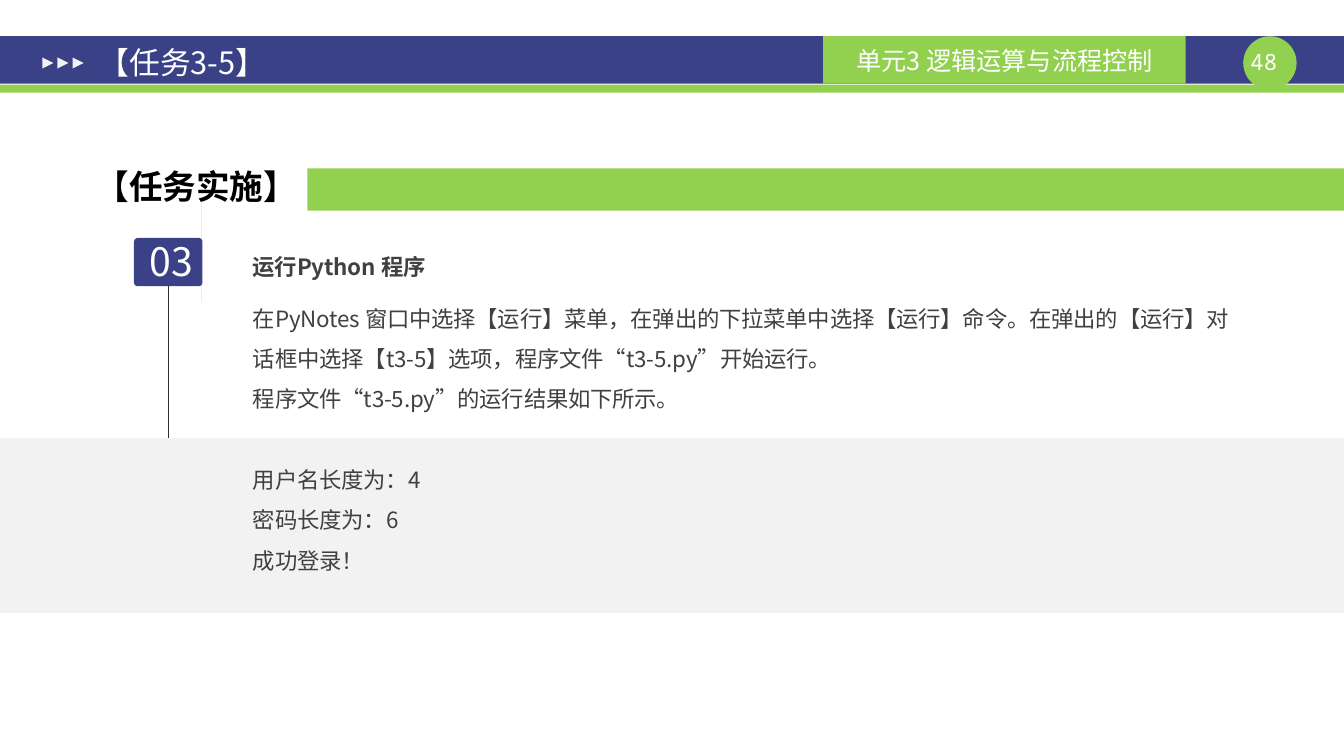
from lxml import etree
from pptx import Presentation
from pptx.dml.color import RGBColor
from pptx.enum.shapes import MSO_CONNECTOR, MSO_SHAPE as SHAPE
from pptx.enum.text import MSO_ANCHOR as ANCHOR, MSO_AUTO_SIZE, PP_ALIGN as ALIGN
from pptx.oxml.ns import qn
from pptx.util import Inches, Pt

NAVY = RGBColor(0x3A, 0x41, 0x87)
GREEN = RGBColor(0x92, 0xD0, 0x50)
PALE = RGBColor(0xF2, 0xF2, 0xF2)
GRAY = RGBColor(0x6F, 0x73, 0x76)
LINE = RGBColor(0x2E, 0x2C, 0x2C)
INK = RGBColor(0x40, 0x40, 0x40)
BLACK = RGBColor(0, 0, 0)
WHITE = RGBColor(0xFF, 0xFF, 0xFF)
SANS, MONO = "Noto Sans CJK SC", "Noto Sans Mono"

WIDTH, HEIGHT = 13.34, 7.5
TITLE = "【任务3-5】"
UNIT = "单元3 逻辑运算与流程控制"
PAGE = "48"
SECTION = "【任务实施】"
STEP = "03"
STEP_HEADING = "运行Python 程序"
INSTRUCTIONS = [
    "在PyNotes 窗口中选择【运行】菜单，在弹出的下拉菜单中选择【运行】命令。"
    "在弹出的【运行】对话框中选择【t3-5】选项，程序文件“t3-5.py”开始运行。",
    "程序文件“t3-5.py”的运行结果如下所示。",
]
OUTPUT = ["用户名长度为：4", "密码长度为：6", "成功登录！"]
OUTPUT_GAP = 29

BAR_TOP, BAR_HEIGHT = 0.36, 0.47
SHAPES = [
    (SHAPE.RECTANGLE, (0, BAR_TOP, WIDTH, BAR_HEIGHT), NAVY),
    (SHAPE.RECTANGLE, (0, 0.84, WIDTH, 0.08), GREEN),
    (SHAPE.OVAL, (12.34, BAR_TOP, 0.53, 0.53), GREEN),
    (SHAPE.RECTANGLE, (8.17, BAR_TOP, 3.6, BAR_HEIGHT), GREEN),
    (SHAPE.RECTANGLE, (0, 4.35, WIDTH, 1.73), PALE),
    (SHAPE.RECTANGLE, (3.05, 1.67, 10.29, 0.42), GREEN),
]
STEP_BADGE = (1.33, 2.36, 0.68, 0.48)
ARROW_POINTS = [
    (2.04, 2.48), (2.05, 2.46), (2.07, 2.46), (2.13, 2.51), (2.2, 2.55), (2.22, 2.57),
    (2.2, 2.59), (2.13, 2.63), (2.07, 2.67), (2.05, 2.68), (2.04, 2.65),
]

BODY = {"size": Pt(16), "color": INK, "spacing": -10, "line_spacing": 1.5}


def paint(shape, color):
    shape.shadow.inherit = False
    shape.fill.solid()
    shape.fill.fore_color.rgb = color
    shape.line.fill.background()


def add_block(slide, kind, box, color):
    shape = slide.shapes.add_shape(kind, *map(Inches, box))
    paint(shape, color)
    return shape


def write(shape, lines, size, color, font=SANS, bold=False, align=ALIGN.LEFT,
          anchor=ANCHOR.TOP, margins=(0.1, 0.05), line_spacing=1.0, spacing=0):
    """Fill the shape with one formatted paragraph per line."""
    frame = shape.text_frame
    across, down = map(Inches, margins)
    frame_format = {
        "word_wrap": True, "auto_size": MSO_AUTO_SIZE.NONE, "vertical_anchor": anchor,
        "margin_left": across, "margin_right": across,
        "margin_top": down, "margin_bottom": down,
    }
    for name, value in frame_format.items():
        setattr(frame, name, value)
    for index, line in enumerate(lines):
        paragraph = frame.add_paragraph() if index else frame.paragraphs[0]
        properties = paragraph._p.get_or_add_pPr()
        properties.set("marL", "0")
        properties.set("indent", "0")
        etree.SubElement(properties, qn("a:buNone"))
        paragraph_format = {"alignment": align, "line_spacing": line_spacing,
                            "space_before": Pt(0), "space_after": Pt(0)}
        for name, value in paragraph_format.items():
            setattr(paragraph, name, value)
        run = paragraph.add_run()
        run.text = line
        run.font.color.rgb = color
        for name, value in {"name": font, "size": size, "bold": bold}.items():
            setattr(run.font, name, value)
        run_properties = run._r.get_or_add_rPr()
        run_properties.set("spc", str(spacing))
        etree.SubElement(run_properties, qn("a:ea")).set("typeface", font)


def add_text(slide, box, text, **style):
    write(slide.shapes.add_textbox(*map(Inches, box)), [text], **style)


def place(slide, placeholder, box):
    """Move the placeholder into the box and to the front."""
    for name, value in zip(("left", "top", "width", "height"), box):
        setattr(placeholder, name, Inches(value))
    slide.shapes.element.append(placeholder.element)


def main():
    presentation = Presentation()
    presentation.slide_width, presentation.slide_height = Inches(WIDTH), Inches(HEIGHT)
    slide = presentation.slides.add_slide(presentation.slide_layouts[1])
    title, body = slide.placeholders

    for kind, box, color in SHAPES:
        add_block(slide, kind, box, color)
    for index in range(3):
        marker = add_block(slide, SHAPE.ISOSCELES_TRIANGLE,
                           (0.42 + 0.15 * index, 0.57, 0.11, 0.11), PALE)
        marker.rotation = 90

    stem = slide.shapes.add_connector(
        MSO_CONNECTOR.STRAIGHT, *map(Inches, (1.67, 2.59, 1.67, 4.35)))
    stem.line.color.rgb = LINE
    stem.line.width = Pt(1)
    etree.SubElement(stem.element.spPr, qn("a:effectLst"))

    badge = add_block(slide, SHAPE.ROUNDED_RECTANGLE, STEP_BADGE, NAVY)
    badge.adjustments[0] = 0.08
    builder = slide.shapes.build_freeform(*ARROW_POINTS[0], scale=Inches(1))
    builder.add_line_segments(ARROW_POINTS[1:], close=True)
    paint(builder.convert_to_shape(), GRAY)

    add_text(slide, (8.17, BAR_TOP, 3.6, BAR_HEIGHT), UNIT, size=Pt(18), color=WHITE,
             align=ALIGN.CENTER, anchor=ANCHOR.MIDDLE)
    add_text(slide, (12.28, 0.48, 0.53, 0.27), PAGE, size=Pt(16), color=WHITE,
             font=MONO, align=ALIGN.CENTER, margins=(0, 0))
    add_text(slide, (1.31, 2.31, 0.78, 0.57), STEP, size=Pt(28), color=WHITE,
             align=ALIGN.CENTER)
    add_text(slide, (0.85, 1.6, 2.62, 0.5), SECTION, size=Pt(24), color=BLACK, bold=True)
    add_text(slide, (2.41, 2.33, 10.09, 0.46), STEP_HEADING, bold=True, **BODY)

    place(slide, title, (0.85, 0.4, 8.07, 0.44))
    write(title, [TITLE], size=Pt(22), color=WHITE, anchor=ANCHOR.MIDDLE,
          margins=(0.13, 0.07))
    place(slide, body, (2.41, 2.84, 10.09, 2.93))
    write(body, INSTRUCTIONS + OUTPUT, **BODY)
    body.text_frame.paragraphs[len(INSTRUCTIONS)].space_before = Pt(OUTPUT_GAP)

    presentation.save("out.pptx")


if __name__ == "__main__":
    main()
